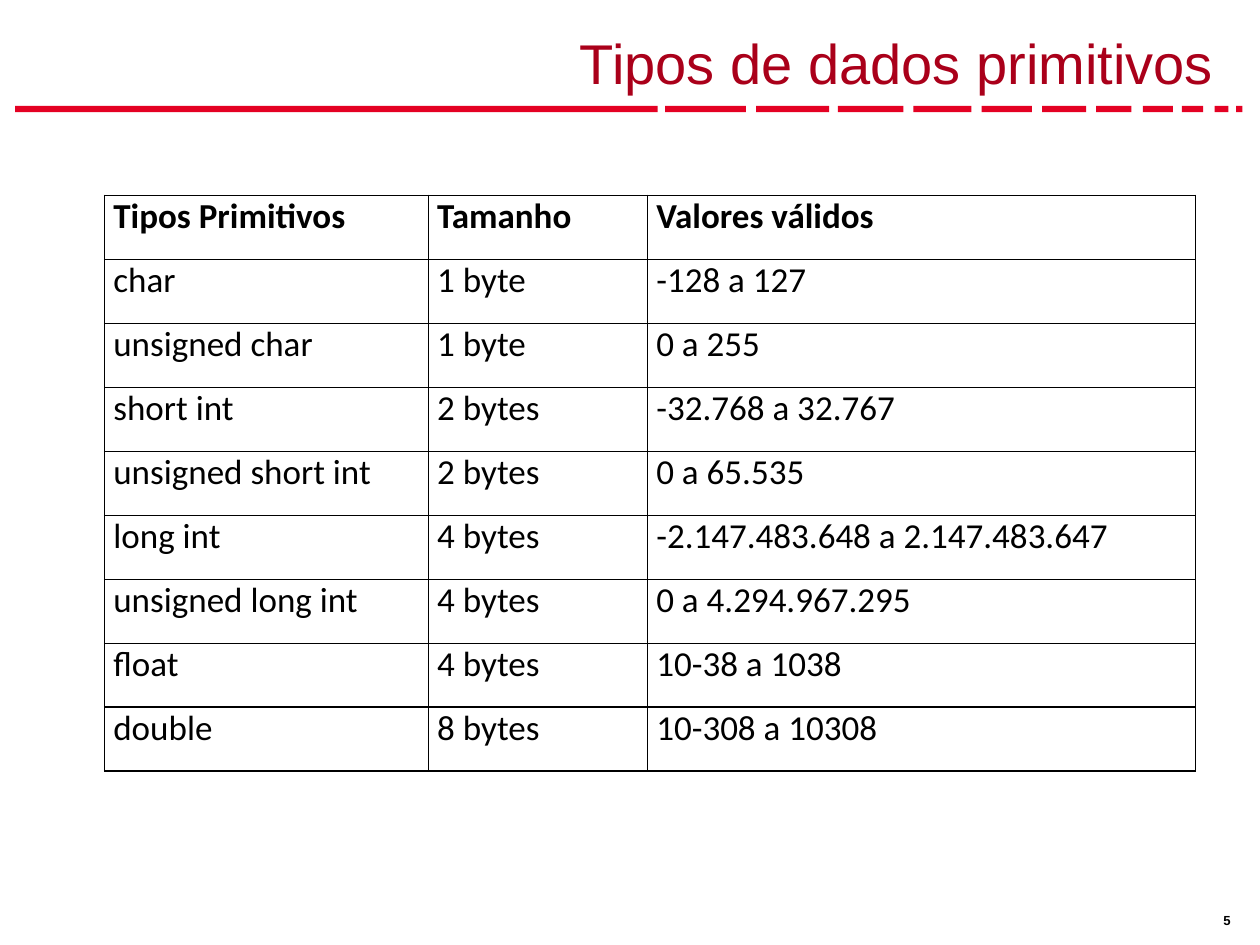
from lxml import etree
from pptx import Presentation
from pptx.dml.color import RGBColor
from pptx.enum.shapes import MSO_SHAPE
from pptx.enum.text import MSO_ANCHOR, PP_ALIGN
from pptx.oxml.ns import qn
from pptx.util import Inches, Pt

RECTANGLE = MSO_SHAPE.RECTANGLE
BOTTOM = MSO_ANCHOR.BOTTOM
LEFT, RIGHT = PP_ALIGN.LEFT, PP_ALIGN.RIGHT
RED = RGBColor(0xE4, 0x01, 0x23)
DARK_RED = RGBColor(0xAA, 0x00, 0x1A)
BLACK = RGBColor(0, 0, 0)
WHITE = RGBColor(0xFF, 0xFF, 0xFF)

DASHES = [
    (0.12, 5.1), (5.28, 0.64), (6, 0.58), (6.65, 0.52), (7.25, 0.46), (7.79, 0.4),
    (8.27, 0.35), (8.7, 0.28), (9.07, 0.24), (9.38, 0.17), (9.64, 0.11), (9.81, 0.05),
]
COLUMN_WIDTHS = [2.57, 1.74, 4.35]
ROW_HEIGHT = 0.508
TYPES = [
    ("Tipos Primitivos", "Tamanho", "Valores válidos"),
    ("char", "1 byte", "-128 a 127"),
    ("unsigned char", "1 byte", "0 a 255"),
    ("short int", "2 bytes", "-32.768 a 32.767"),
    ("unsigned short int", "2 bytes", "0 a 65.535"),
    ("long int", "4 bytes", "-2.147.483.648 a 2.147.483.647"),
    ("unsigned long int", "4 bytes", "0 a 4.294.967.295"),
    ("float", "4 bytes", "10-38 a 1038"),
    ("double", "8 bytes", "10-308 a 10308"),
]


def write(paragraph, text, font_name, size, color, bold=False, align=LEFT):
    paragraph.text = text
    paragraph.alignment = align
    font = paragraph.font
    font.name, font.size, font.bold = font_name, Pt(size), bold
    font.color.rgb = color


def add_borders(cell):
    properties = cell._tc.get_or_add_tcPr()
    for index, side in enumerate(("a:lnL", "a:lnR", "a:lnT", "a:lnB")):
        line = etree.Element(qn(side), w=str(Pt(1)))
        fill = etree.SubElement(line, qn("a:solidFill"))
        etree.SubElement(fill, qn("a:srgbClr"), val=str(BLACK))
        properties.insert(index, line)


prs = Presentation()
prs.slide_width, prs.slide_height = Inches(10), Inches(7.5)
slide = prs.slides.add_slide(prs.slide_layouts[6])

for left, width in DASHES:
    dash = slide.shapes.add_shape(RECTANGLE, Inches(left), Inches(0.84), Inches(width), Inches(0.05))
    dash.shadow.inherit = False
    dash.fill.solid()
    dash.fill.fore_color.rgb = RED
    dash.line.fill.background()

page_number = slide.shapes.add_textbox(Inches(9.63), Inches(7.2), Inches(0.33), Inches(0.2)).text_frame
page_number.word_wrap = True
page_number.margin_left = page_number.margin_right = Inches(0.08)
page_number.margin_top = page_number.margin_bottom = Inches(0.04)
write(page_number.paragraphs[0], "5", "Arial", 7.5, BLACK, bold=True)

types_table = slide.shapes.add_table(
    len(TYPES), len(COLUMN_WIDTHS), Inches(0.83), Inches(1.55),
    Inches(sum(COLUMN_WIDTHS)), Inches(ROW_HEIGHT * len(TYPES)),
).table
for column, width in zip(types_table.columns, COLUMN_WIDTHS):
    column.width = Inches(width)
for row_index, (row, values) in enumerate(zip(types_table.rows, TYPES)):
    row.height = Inches(ROW_HEIGHT)
    for cell, value in zip(row.cells, values):
        cell.margin_left = Inches(0.07)
        cell.margin_right = cell.margin_top = cell.margin_bottom = 0
        cell.fill.solid()
        cell.fill.fore_color.rgb = WHITE
        add_borders(cell)
        write(cell.text_frame.paragraphs[0], value, "Calibri", 20, BLACK, bold=row_index == 0)

title = slide.shapes.add_textbox(Inches(0.31), Inches(0.08), Inches(9.42), Inches(0.73)).text_frame
title.word_wrap = True
title.vertical_anchor = BOTTOM
write(title.paragraphs[0], "Tipos de dados primitivos", "Arial", 32, DARK_RED, align=RIGHT)

prs.save("out.pptx")
